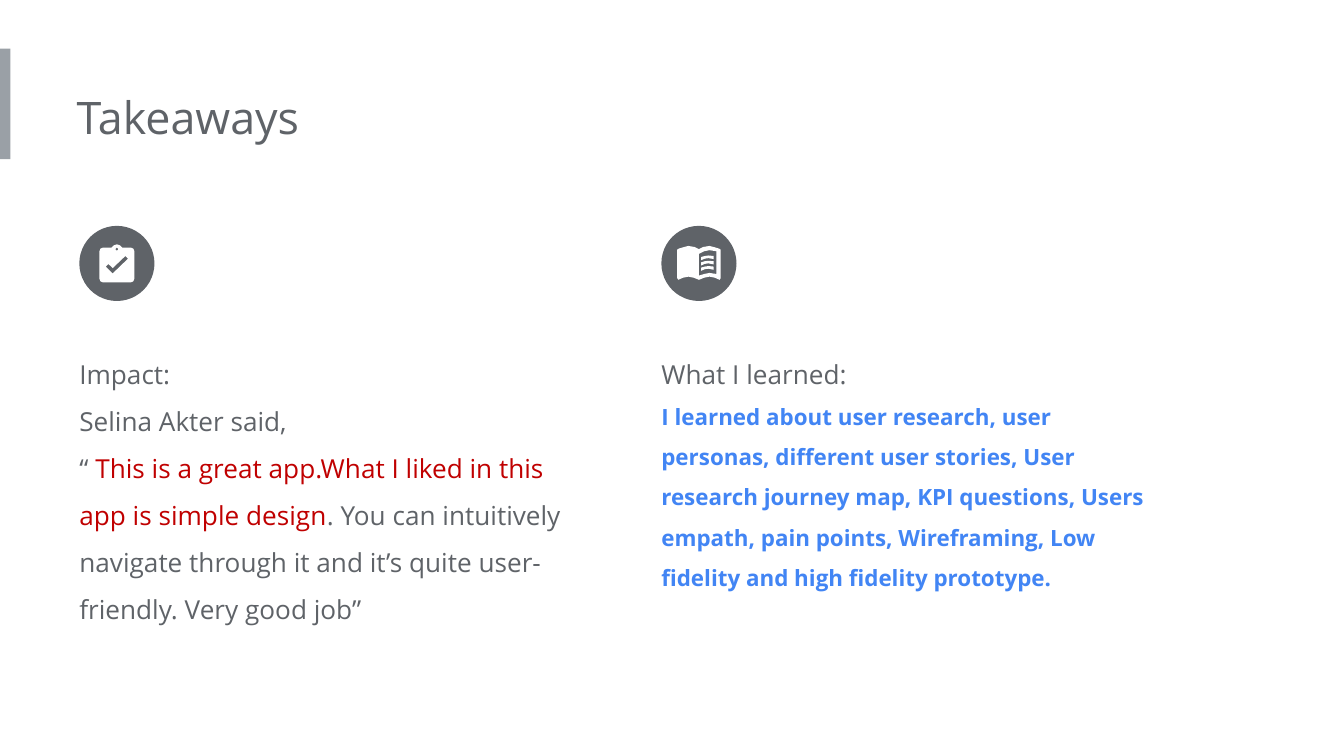
import pptx
import pptx.util
from pptx.dml.color import RGBColor
from pptx.enum.shapes import MSO_SHAPE
from pptx.enum.text import MSO_AUTO_SIZE
from pptx.util import Cm

GRAY = RGBColor(0x5F, 0x63, 0x68)
LIGHT_GRAY = RGBColor(0x9A, 0xA0, 0xA6)
RED = RGBColor(0xC0, 0x00, 0x00)
BLUE = RGBColor(0x42, 0x85, 0xF4)
WHITE = RGBColor(0xFF, 0xFF, 0xFF)

CIRCLE = 1.42
CIRCLE_TOP = 4.27
TEXT_TOP = 6.22
TEXT_WIDTH = 9.58


def mirrored(half):
    """Close an outline whose given half starts and ends on the vertical axis."""
    return half + [(-x, y) for x, y in reversed(half)]


# Icon outlines in cm from the centre of their circle.
CLIPBOARD = [
    mirrored([(0, -0.36), (0.06, -0.34), (0.1, -0.3), (0.26, -0.3), (0.31, -0.28),
              (0.33, -0.23), (0.33, 0.29), (0.31, 0.34), (0.26, 0.36), (0, 0.36)]),
    mirrored([(0, -0.3), (0.03, -0.27), (0, -0.24)]),
    [(-0.08, 0.19), (-0.21, 0.06), (-0.16, 0.01), (-0.08, 0.09), (0.16, -0.14),
     (0.21, -0.09)],
]
BOOK = [
    mirrored([(0, -0.27), (0.08, -0.31), (0.2, -0.33), (0.28, -0.31), (0.38, -0.28),
              (0.41, -0.26), (0.41, 0.28), (0.39, 0.31), (0.3, 0.27), (0.2, 0.25),
              (0.1, 0.27), (0, 0.31)]),
    [(0, -0.18), (0.1, -0.23), (0.2, -0.25), (0.33, -0.23), (0.33, 0.2), (0.2, 0.18),
     (0.1, 0.2), (0, 0.23)],
]
BOOK_LINE = [(0.04, -0.12), (0.11, -0.14), (0.18, -0.15), (0.28, -0.14), (0.28, -0.08),
             (0.18, -0.1), (0.11, -0.09), (0.04, -0.06)]
BOOK_LINES = [[(x, y + 0.1 * i) for x, y in BOOK_LINE] for i in range(3)]


def add_run(p, text, size=14, color=GRAY, bold=False, font="Open Sans"):
    r = p.add_run()
    r.text = text
    r.font.name = font
    r.font.size = pptx.util.Pt(size)
    r.font.bold = bold
    r.font.color.rgb = color


class Deck:
    def __init__(self, prs):
        self.s = prs.slides.add_slide(prs.slide_layouts[6])

    def paint(self, sp, color):
        sp.shadow.inherit = False
        sp.fill.solid()
        sp.fill.fore_color.rgb = color
        sp.line.fill.background()

    def shape(self, kind, x, y, w, h, color):
        sp = self.s.shapes.add_shape(kind, Cm(x), Cm(y), Cm(w), Cm(h))
        self.paint(sp, color)

    def outline(self, cx, cy, contours):
        """Draw one white shape; inner contours become holes."""
        points = [[(Cm(cx + x), Cm(cy + y)) for x, y in c] for c in contours]
        fb = self.s.shapes.build_freeform(*points[0][0])
        fb.add_line_segments(points[0][1:])
        for hole in points[1:]:
            fb.move_to(*hole[0])
            fb.add_line_segments(hole[1:])
        self.paint(fb.convert_to_shape(), WHITE)

    def icon(self, x, *parts):
        self.shape(MSO_SHAPE.OVAL, x, CIRCLE_TOP, CIRCLE, CIRCLE, GRAY)
        for contours in parts:
            self.outline(x + CIRCLE / 2, CIRCLE_TOP + CIRCLE / 2, contours)

    def text(self, x, y, w, h, paragraphs, spacing=1.0):
        """Each paragraph is a list of (text, format) runs."""
        tf = self.s.shapes.add_textbox(Cm(x), Cm(y), Cm(w), Cm(h)).text_frame
        tf.word_wrap = True
        tf.auto_size = MSO_AUTO_SIZE.SHAPE_TO_FIT_TEXT
        tf.margin_left = 0
        tf.margin_top = tf.margin_right = tf.margin_bottom = Cm(0.25)
        for i, runs in enumerate(paragraphs):
            p = tf.add_paragraph() if i else tf.paragraphs[0]
            p.line_spacing = spacing
            for text, fmt in runs:
                add_run(p, text, **fmt)


def main():
    prs = pptx.Presentation()
    prs.slide_width, prs.slide_height = Cm(25.4), Cm(14.29)
    deck = Deck(prs)

    deck.shape(MSO_SHAPE.RECTANGLE, 0, 0.92, 0.2, 2.09, LIGHT_GRAY)
    deck.text(1.45, 1.45, 13.7, 1.55, [[("Takeaways", {"size": 24})]])

    impact = [
        [("Impact:", {})],
        [("Selina Akter said,", {})],
        [("“ ", {}),
         ("This is a great app.What I liked in this app is simple design", {"color": RED}),
         (". You can intuitively navigate through it and it’s quite user-friendly. "
          "Very good job”", {})],
    ]
    learned = [
        [("What I learned:", {})],
        [("I learned about user research, user personas, different user stories, "
          "User research journey map, KPI questions, Users empath, pain points, "
          "Wireframing, Low fidelity and high fidelity prototype.",
          {"size": 12, "color": BLUE, "bold": True})],
    ]
    columns = [
        (1.5, 5.89, impact, [CLIPBOARD]),
        (12.5, 5.26, learned, [BOOK] + [[line] for line in BOOK_LINES]),
    ]
    for x, height, paragraphs, parts in columns:
        deck.text(x, TEXT_TOP, TEXT_WIDTH, height, paragraphs, spacing=1.5)
        deck.icon(x, *parts)

    prs.save("out.pptx")


if __name__ == "__main__":
    main()
